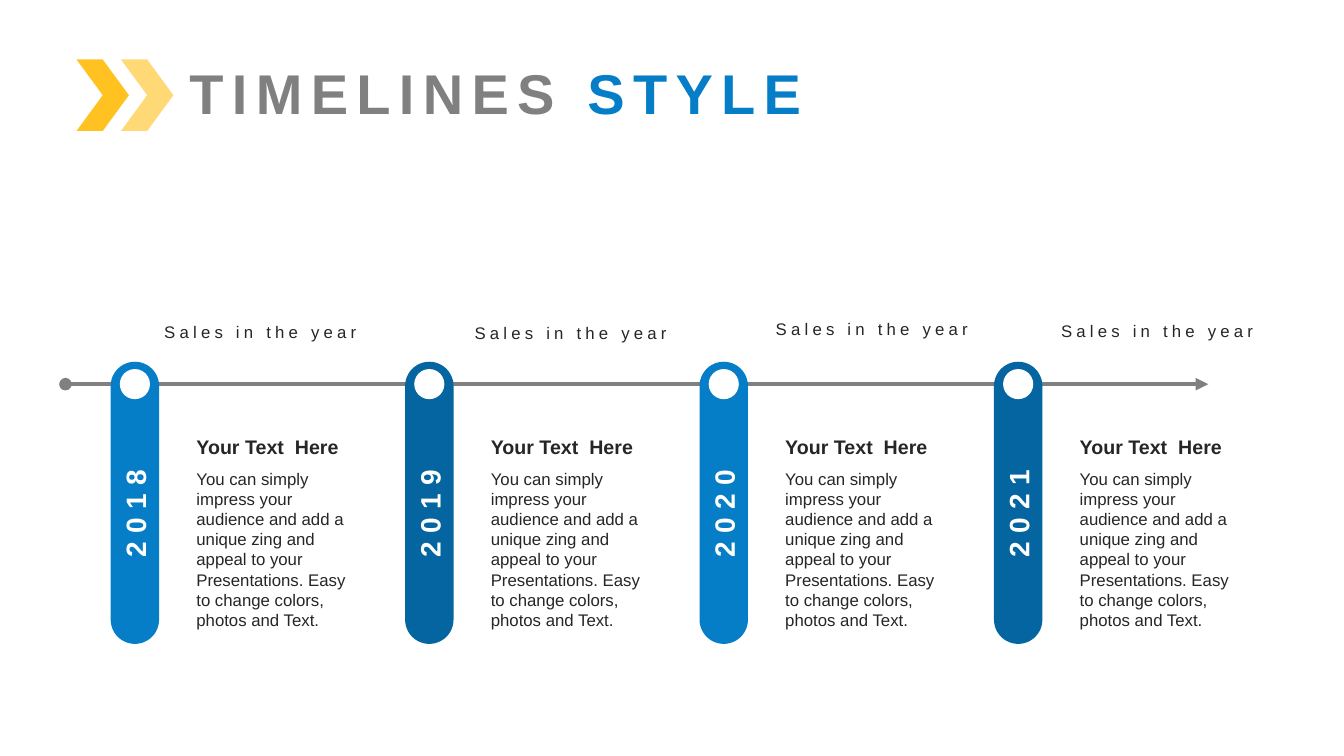
"""Build a four-year sales timeline slide."""
import pptx
import pptx.util
import pptx.dml.color
import pptx.enum.shapes
import pptx.enum.text
import pptx.oxml.ns
from lxml import etree

Cm, Pt = pptx.util.Cm, pptx.util.Pt
RGBColor = pptx.dml.color.RGBColor
SHAPE = pptx.enum.shapes.MSO_SHAPE
ALIGN = pptx.enum.text.PP_ALIGN
ANCHOR = pptx.enum.text.MSO_ANCHOR
qn = pptx.oxml.ns.qn

GREY = RGBColor(0x80, 0x80, 0x80)
BLUE = RGBColor(0x05, 0x7E, 0xC7)
DARK_BLUE = RGBColor(0x04, 0x65, 0xA0)
YELLOW = RGBColor(0xFF, 0xC2, 0x21)
INK = RGBColor(0x26, 0x26, 0x26)
WHITE = RGBColor(0xFF, 0xFF, 0xFF)

TITLE = [("TIMELINES ", GREY), ("STYLE", BLUE)]
CAPTION = "Sales in the year"
HEADING = "Your Text  Here"
BODY = ("You can simply impress your audience and add a unique zing and appeal "
        "to your Presentations. Easy to change colors, photos and Text.")
MILESTONES = [
    ("2018", BLUE, (3.89, 7.98)),
    ("2019", DARK_BLUE, (11.71, 8.0)),
    ("2020", BLUE, (19.3, 7.9)),
    ("2021", DARK_BLUE, (26.49, 7.96)),
]
CHEVRONS = [(1.93, None), (3.05, 62)]

FIRST_CENTER, PITCH = 3.4, 7.42
AXIS_Y, AXIS_START, AXIS_END = 9.68, 1.65, 30.45
PILL_LENGTH, PILL_WIDTH, PILL_Y = 7.11, 1.22, 12.67
DOT = 0.76
YEAR_LENGTH, YEAR_HEIGHT, YEAR_Y = 3.35, 1.12, 12.95
TEXT_OFFSET, TEXT_WIDTH = 1.3, 4.62


def add_solid(slide, kind, left, top, width, height, color):
    shape = slide.shapes.add_shape(kind, Cm(left), Cm(top), Cm(width), Cm(height))
    shape.shadow.inherit = False
    shape.fill.solid()
    shape.fill.fore_color.rgb = color
    shape.line.fill.background()
    return shape


def format_font(font, size, color=None, bold=False):
    font.name, font.size, font.bold = "Arial", Pt(size), bold
    if color is not None:
        font.color.rgb = color


def add_spaced_run(paragraph, words, spacing):
    run = paragraph.add_run()
    run.text = words
    if spacing:
        run._r.get_or_add_rPr().set("spc", str(spacing * 100))
    return run


def add_text(slide, words, left, top, width, height, size, color=INK,
             bold=False, spacing=0, anchor=ANCHOR.TOP, align=ALIGN.LEFT):
    box = slide.shapes.add_textbox(Cm(left), Cm(top), Cm(width), Cm(height))
    frame = box.text_frame
    frame.word_wrap = True
    frame.vertical_anchor = anchor
    paragraph = frame.paragraphs[0]
    paragraph.alignment = align
    add_spaced_run(paragraph, words, spacing)
    format_font(paragraph.font, size, color, bold)
    return box


def add_title(slide):
    title = slide.shapes.title
    title.left, title.top, title.width, title.height = Cm(4.52), Cm(1.35), Cm(16.28), Cm(1.96)
    frame = title.text_frame
    frame.word_wrap = False
    frame.auto_size = pptx.enum.text.MSO_AUTO_SIZE.NONE
    frame.vertical_anchor = ANCHOR.TOP
    paragraph = frame.paragraphs[0]
    paragraph.alignment = ALIGN.LEFT
    for words, color in TITLE:
        add_spaced_run(paragraph, words, 6).font.color.rgb = color
    format_font(paragraph.font, 40, bold=True)
    for left, opacity in CHEVRONS:
        chevron = add_solid(slide, SHAPE.CHEVRON, left, 1.5, 1.32, 1.8, YELLOW)
        if opacity:
            tint = chevron._element.spPr.find(".//" + qn("a:srgbClr"))
            etree.SubElement(tint, qn("a:alpha")).set("val", str(opacity * 1000))


def add_axis(slide):
    axis = slide.shapes.add_connector(
        pptx.enum.shapes.MSO_CONNECTOR.STRAIGHT,
        Cm(AXIS_START), Cm(AXIS_Y), Cm(AXIS_END), Cm(AXIS_Y))
    axis.line.color.rgb = GREY
    axis.line.width = Pt(3)
    outline = axis.line._get_or_add_ln()
    for end, kind in (("a:headEnd", "oval"), ("a:tailEnd", "triangle")):
        etree.SubElement(outline, qn(end)).set("type", kind)
    etree.SubElement(axis._element.spPr, qn("a:effectLst"))


def add_milestone(slide, center, year, color, caption_at):
    pill = add_solid(slide, SHAPE.ROUNDED_RECTANGLE, center - PILL_LENGTH / 2,
                     PILL_Y - PILL_WIDTH / 2, PILL_LENGTH, PILL_WIDTH, color)
    pill.adjustments[0] = 0.5
    pill.rotation = 270
    add_solid(slide, SHAPE.OVAL, center - DOT / 2, AXIS_Y - DOT / 2, DOT, DOT, WHITE)
    label = add_text(slide, year, center - YEAR_LENGTH / 2, YEAR_Y - YEAR_HEIGHT / 2,
                     YEAR_LENGTH, YEAR_HEIGHT, 20, WHITE, True, 6,
                     ANCHOR.MIDDLE, ALIGN.CENTER)
    label.rotation = 270
    text_left = center + TEXT_OFFSET
    add_text(slide, HEADING, text_left, 10.82, TEXT_WIDTH, 0.86, 14,
             bold=True, anchor=ANCHOR.MIDDLE)
    add_text(slide, BODY, text_left, 11.68, TEXT_WIDTH, 4.37, 12)
    add_text(slide, CAPTION, *caption_at, 5.51, 0.76, 12, spacing=3)


def main():
    deck = pptx.Presentation()
    deck.slide_width, deck.slide_height = Cm(33.87), Cm(19.05)
    slide = deck.slides.add_slide(deck.slide_layouts[5])
    add_title(slide)
    add_axis(slide)
    for index, (year, color, caption_at) in enumerate(MILESTONES):
        add_milestone(slide, FIRST_CENTER + index * PITCH, year, color, caption_at)
    deck.save("out.pptx")


if __name__ == "__main__":
    main()
